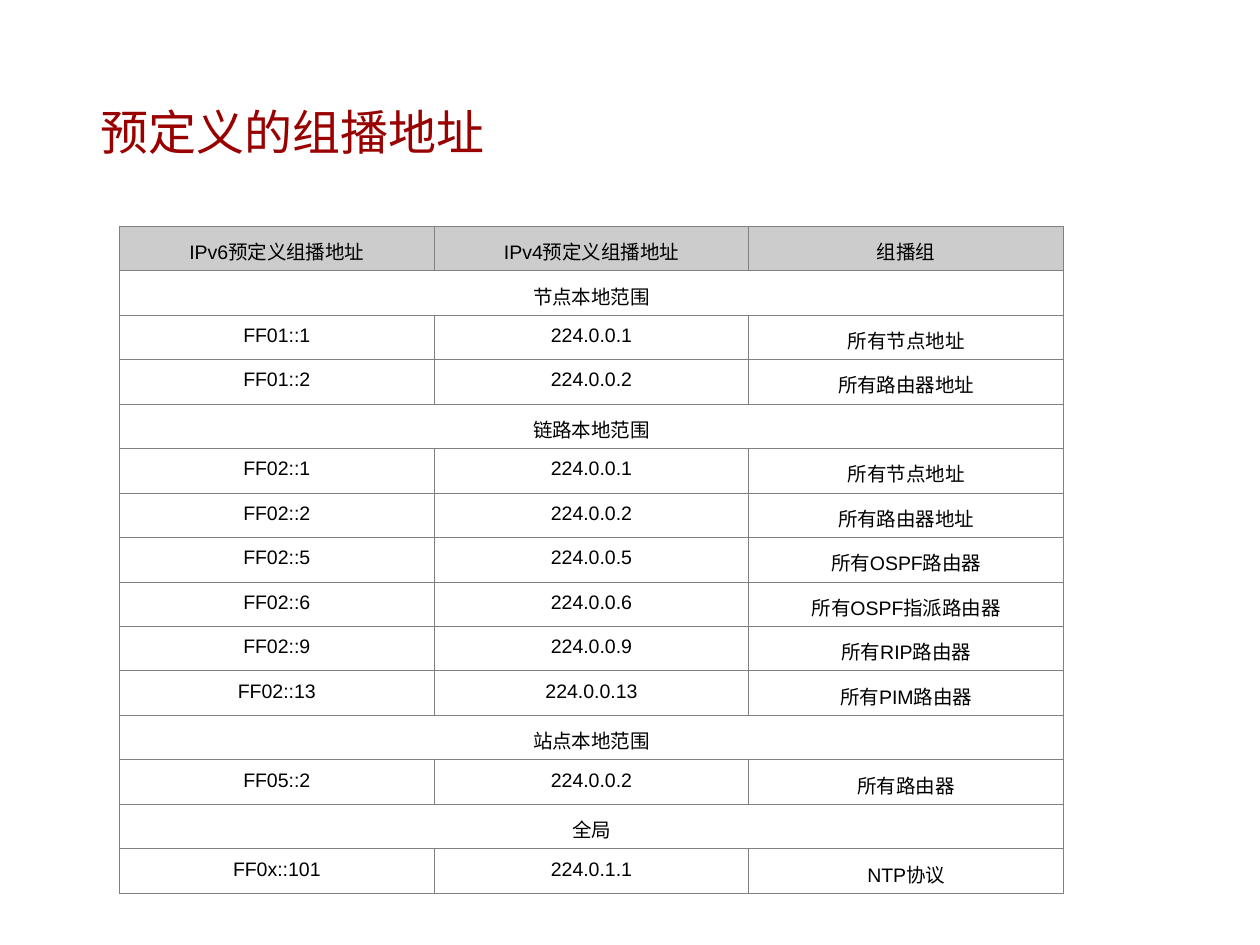
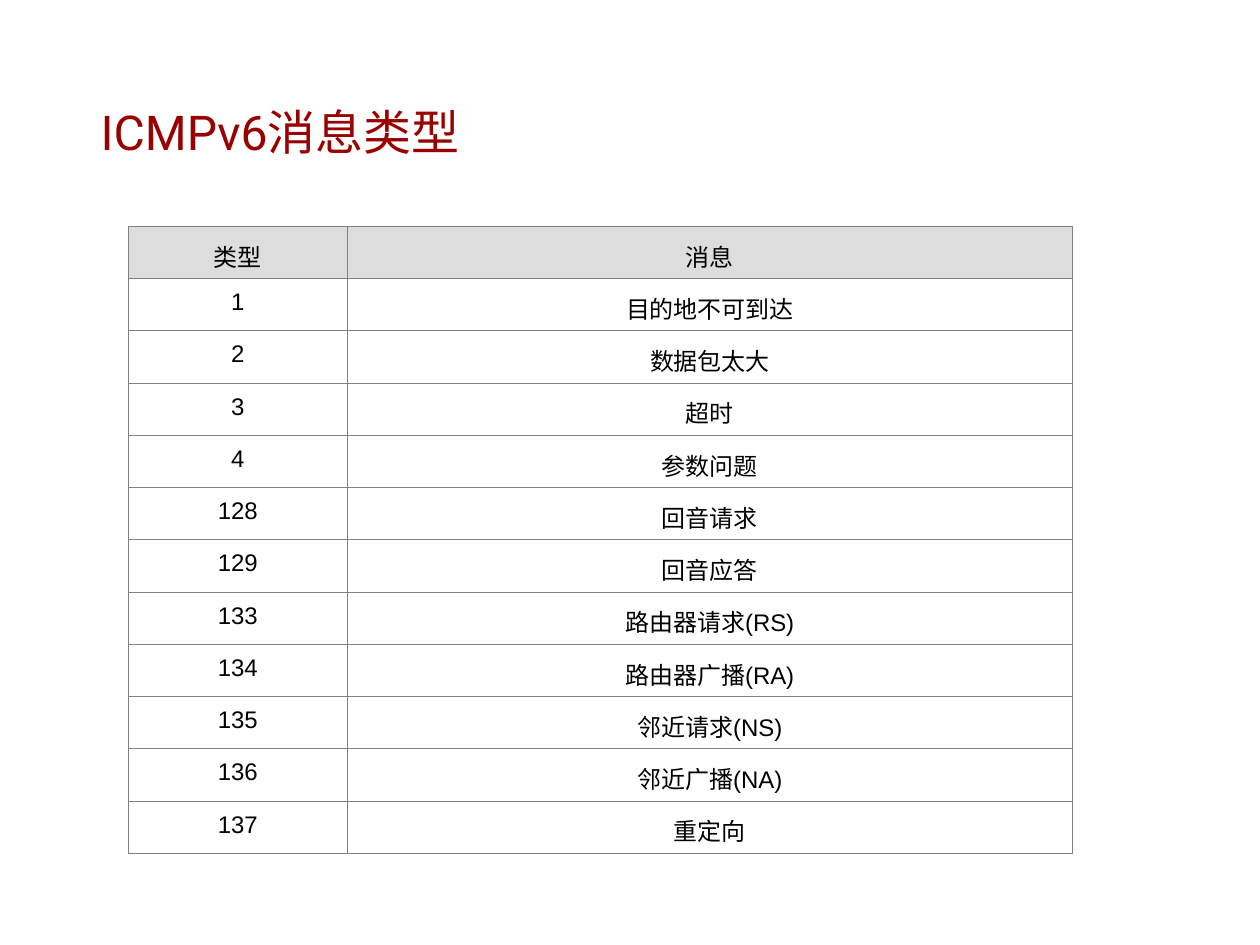
from dataclasses import dataclass

from lxml.etree import SubElement
from pptx import Presentation
from pptx.dml.color import RGBColor
from pptx.enum.text import MSO_ANCHOR, PP_ALIGN
from pptx.oxml.ns import qn
from pptx.slide import Slide
from pptx.table import _Cell
from pptx.text.text import _Paragraph
from pptx.util import Pt


@dataclass(frozen=True)
class Theme:
    title_color: str = "990000"
    text_color: str = "000000"
    border_color: str = "808080"
    title_font: str = "Roboto"
    table_font: str = "Arial"
    title_size: float = 32
    border_width: float = 0.45
    line_spacing: float = 1.2
    language: str = "zh-CN"


@dataclass(frozen=True)
class TablePage:
    title: str
    left: float
    column_widths: tuple[float, ...]
    row_height: float
    text_size: float
    space_after: float
    header_fill: str
    rows: tuple[tuple[str, ...], ...]


THEME = Theme()
PAGE_WIDTH, PAGE_HEIGHT = 840, 630
TITLE_BOX = (60, 59, 629.5, 57.6)
TABLE_TOP = 150.7
CELL_MARGIN_X, CELL_MARGIN_Y = 8.5, 3.6

PAGES = (
    TablePage(
        title="预定义的组播地址",
        left=79.6,
        column_widths=(209.8,) * 3,
        row_height=29.66,
        text_size=13,
        space_after=3.3,
        header_fill="CCCCCC",
        rows=(
            ("IPv6预定义组播地址", "IPv4预定义组播地址", "组播组"),
            ("节点本地范围",),
            ("FF01::1", "224.0.0.1", "所有节点地址"),
            ("FF01::2", "224.0.0.2", "所有路由器地址"),
            ("链路本地范围",),
            ("FF02::1", "224.0.0.1", "所有节点地址"),
            ("FF02::2", "224.0.0.2", "所有路由器地址"),
            ("FF02::5", "224.0.0.5", "所有OSPF路由器"),
            ("FF02::6", "224.0.0.6", "所有OSPF指派路由器"),
            ("FF02::9", "224.0.0.9", "所有RIP路由器"),
            ("FF02::13", "224.0.0.13", "所有PIM路由器"),
            ("站点本地范围",),
            ("FF05::2", "224.0.0.2", "所有路由器"),
            ("全局",),
            ("FF0x::101", "224.0.1.1", "NTP协议"),
        ),
    ),
    TablePage(
        title="ICMPv6消息类型",
        left=85.5,
        column_widths=(146, 483.5),
        row_height=34.85,
        text_size=16,
        space_after=4,
        header_fill="DDDDDD",
        rows=(
            ("类型", "消息"),
            ("1", "目的地不可到达"),
            ("2", "数据包太大"),
            ("3", "超时"),
            ("4", "参数问题"),
            ("128", "回音请求"),
            ("129", "回音应答"),
            ("133", "路由器请求(RS)"),
            ("134", "路由器广播(RA)"),
            ("135", "邻近请求(NS)"),
            ("136", "邻近广播(NA)"),
            ("137", "重定向"),
        ),
    ),
)


def format_runs(para: _Paragraph, font: str, size: float, color: str) -> None:
    for span in para.runs:
        span.font.name = font
        span.font.size = Pt(size)
        span.font.color.rgb = RGBColor.from_string(color)
        span.font._element.set("lang", THEME.language)


def add_title(slide: Slide, title: str) -> None:
    box = slide.shapes.add_textbox(*map(Pt, TITLE_BOX))
    frame = box.text_frame
    frame.word_wrap = True
    frame.vertical_anchor = MSO_ANCHOR.MIDDLE
    frame.text = title
    format_runs(frame.paragraphs[0], THEME.title_font, THEME.title_size, THEME.title_color)


def add_borders(cell: _Cell) -> None:
    properties = cell._tc.get_or_add_tcPr()
    for side in ("a:lnL", "a:lnR", "a:lnT", "a:lnB"):
        line = SubElement(properties, qn(side), w=str(Pt(THEME.border_width)))
        fill = SubElement(line, qn("a:solidFill"))
        SubElement(fill, qn("a:srgbClr"), val=THEME.border_color)


def style_cell(cell: _Cell, page: TablePage, is_header: bool) -> None:
    cell.margin_left = cell.margin_right = Pt(CELL_MARGIN_X)
    cell.margin_top = cell.margin_bottom = Pt(CELL_MARGIN_Y)
    add_borders(cell)
    if is_header:
        cell.fill.solid()
        cell.fill.fore_color.rgb = RGBColor.from_string(page.header_fill)
    else:
        cell.fill.background()
    para = cell.text_frame.paragraphs[0]
    para.alignment = PP_ALIGN.CENTER
    para.line_spacing = THEME.line_spacing
    para.space_after = Pt(page.space_after)
    format_runs(para, THEME.table_font, page.text_size, THEME.text_color)


def add_page_table(slide: Slide, page: TablePage) -> None:
    row_count, column_count = len(page.rows), len(page.column_widths)
    table = slide.shapes.add_table(
        row_count, column_count, Pt(page.left), Pt(TABLE_TOP),
        Pt(sum(page.column_widths)), Pt(page.row_height * row_count),
    ).table
    table.horz_banding = False
    for column, width in zip(table.columns, page.column_widths):
        column.width = Pt(width)
    for row_index, texts in enumerate(page.rows):
        table.rows[row_index].height = Pt(page.row_height)
        if len(texts) == 1:
            table.cell(row_index, 0).merge(table.cell(row_index, column_count - 1))
        for column_index, text in enumerate(texts):
            table.cell(row_index, column_index).text_frame.text = text
        for cell in table.rows[row_index].cells:
            style_cell(cell, page, is_header=row_index == 0)


def main() -> None:
    deck = Presentation()
    deck.slide_width, deck.slide_height = Pt(PAGE_WIDTH), Pt(PAGE_HEIGHT)
    for page in PAGES:
        slide = deck.slides.add_slide(deck.slide_layouts[6])
        add_title(slide, page.title)
        add_page_table(slide, page)
    deck.save("out.pptx")


if __name__ == "__main__":
    main()
